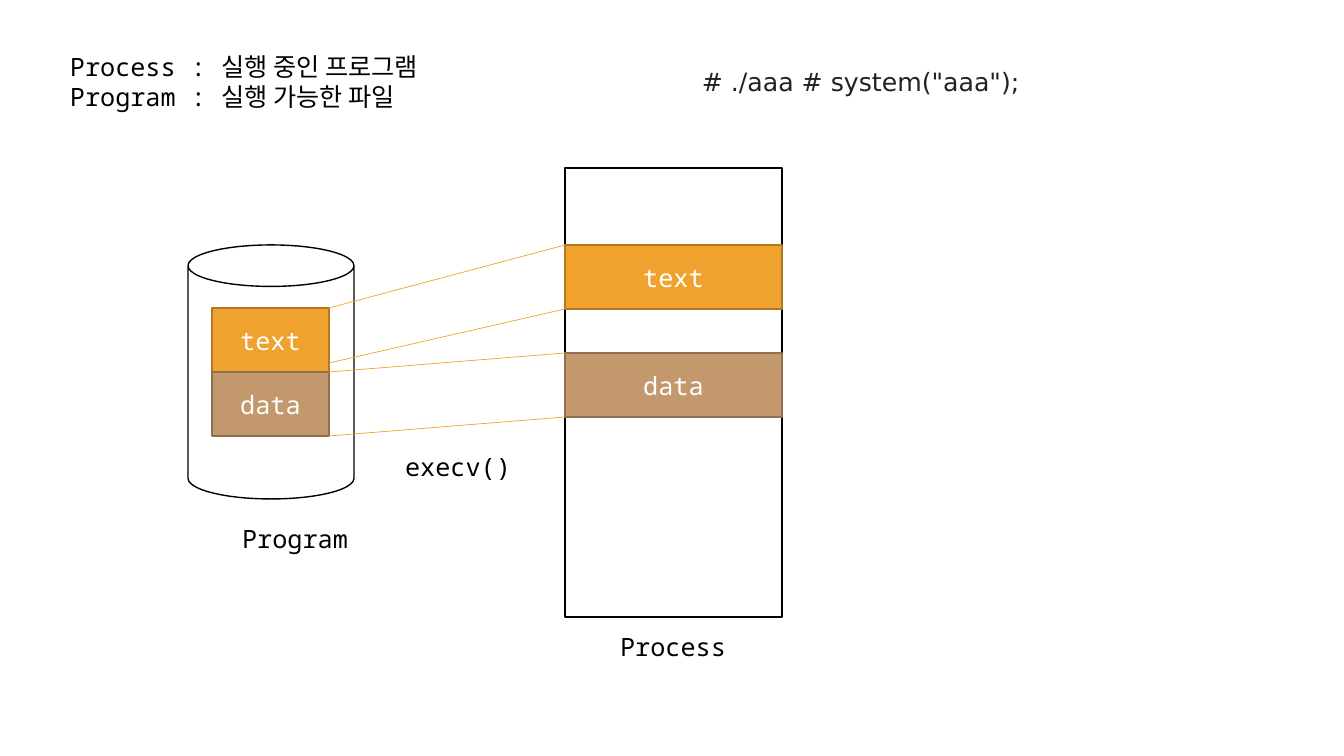
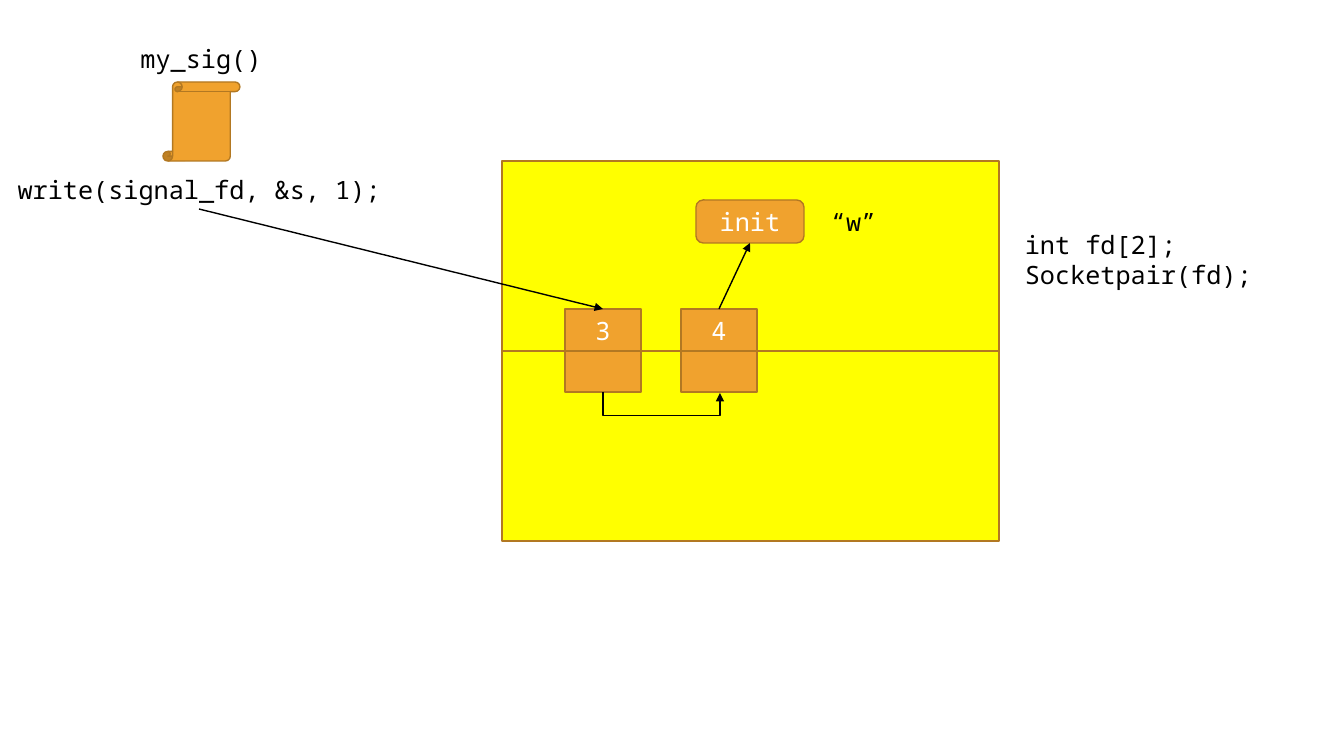
from lxml.etree import SubElement
from pptx import Presentation
from pptx.dml.color import RGBColor
from pptx.enum.shapes import MSO_CONNECTOR, MSO_SHAPE
from pptx.enum.text import MSO_ANCHOR, MSO_AUTO_SIZE, PP_ALIGN
from pptx.oxml.ns import qn
from pptx.util import Pt

PX = 9071  # EMU in one px
FONT = "Noto Sans Mono"
COLORS = {
    "black": "000000",
    "white": "FFFFFF",
    "gray": "222222",
    "yellow": "FFFF00",
    "orange": "F0A22E",
    "orange_edge": "B27822",
    "tan": "C3986D",
    "tan_edge": "907051",
}
COLORS = {name: RGBColor.from_string(value) for name, value in COLORS.items()}


def add_box(slide, kind, bounds, fill="orange", edge="orange_edge", text=""):
    shape = slide.shapes.add_shape(kind, *[value * PX for value in bounds])
    shape.shadow.inherit = False
    shape.fill.solid()
    shape.fill.fore_color.rgb = COLORS[fill]
    shape.line.color.rgb = COLORS[edge]
    shape.line.width = Pt(1)
    if text:
        shape.text_frame.text = text
        shape.text_frame.vertical_anchor = MSO_ANCHOR.MIDDLE
        paragraph = shape.text_frame.paragraphs[0]
        paragraph.alignment = PP_ALIGN.CENTER
        paragraph.font.name = FONT
        paragraph.font.size = Pt(18)
        paragraph.font.color.rgb = COLORS["white"]
    return shape


def add_label(slide, bounds, text, align=PP_ALIGN.CENTER, font=FONT,
              color="black", wrap=True):
    label = slide.shapes.add_textbox(*[value * PX for value in bounds])
    label.text_frame.text = text
    label.text_frame.word_wrap = wrap
    label.text_frame.auto_size = MSO_AUTO_SIZE.SHAPE_TO_FIT_TEXT
    for paragraph in label.text_frame.paragraphs:
        paragraph.alignment = align
        paragraph.font.name = font
        paragraph.font.size = Pt(18)
        paragraph.font.color.rgb = COLORS[color]
    return label


presentation = Presentation()
presentation.slide_width = 1344 * PX
presentation.slide_height = 756 * PX
blank_layout = presentation.slide_layouts[6]

# Slide 1: a program file is loaded into a process
slide = presentation.slides.add_slide(blank_layout)
add_label(slide, (60, 46, 408, 72),
          "Process : 실행 중인 프로그램\nProgram : 실행 가능한 파일", PP_ALIGN.LEFT)
add_label(slide, (692, 61, 350, 40), '# ./aaa # system("aaa");',
          PP_ALIGN.LEFT, "DejaVu Sans", "gray", wrap=False)

# Program file and process memory
add_box(slide, MSO_SHAPE.CAN, (188, 245, 166, 254), "white", "black")
add_box(slide, MSO_SHAPE.RECTANGLE, (565, 168, 217, 449), "white", "black")

# Sections, the same in the file and in memory
for name, fill, file_top, memory_top in (("text", "orange", 308, 245),
                                         ("data", "tan", 372, 353)):
    for left, top, width in ((565, memory_top, 217), (212, file_top, 117)):
        add_box(slide, MSO_SHAPE.RECTANGLE, (left, top, width, 64),
                fill, fill + "_edge", name)

# Mapping lines from file to memory
mapping_lines = [
    slide.shapes.add_connector(MSO_CONNECTOR.STRAIGHT, 329 * PX, file_y * PX,
                               565 * PX, memory_y * PX)
    for file_y, memory_y in ((308, 245), (363, 309), (372, 353), (436, 417))
]

for left, top, text in ((212, 518, "Program"), (590, 626, "Process"),
                        (375, 446, "execv()")):
    add_label(slide, (left, top, 166, 40), text)

# Slide 2: a signal handler wakes init through a socket pair
slide = presentation.slides.add_slide(blank_layout)
for top in (161, 351):
    add_box(slide, MSO_SHAPE.RECTANGLE, (502, top, 497, 190), "yellow")
init_box = add_box(slide, MSO_SHAPE.ROUNDED_RECTANGLE, (696, 200, 108, 43),
                   text="init")

# Descriptors, each with a half on either side of the boundary
descriptors = []
for left, number in ((565, "3"), (681, "4")):
    descriptors.append(add_box(slide, MSO_SHAPE.RECTANGLE, (left, 309, 76, 42),
                               text=number))
    add_box(slide, MSO_SHAPE.RECTANGLE, (left, 351, 76, 41))

# Signal handler and code
add_box(slide, MSO_SHAPE.VERTICAL_SCROLL, (163, 82, 77, 79))
add_label(slide, (121, 38, 160, 40), "my_sig()")
write_label = add_label(slide, (5, 169, 388, 40), "write(signal_fd, &s, 1);")
add_label(slide, (1015, 224, 269, 72), "int fd[2];\nSocketpair(fd);",
          PP_ALIGN.LEFT)
add_label(slide, (821, 201, 75, 40), "“w”", PP_ALIGN.LEFT)

# Straight arrows from bottom or top sides
arrows = []
for source, source_side, target, target_side in (
        (descriptors[1], 0, init_box, 2), (write_label, 2, descriptors[0], 0)):
    arrow = slide.shapes.add_connector(MSO_CONNECTOR.STRAIGHT, 0, 0, 0, 0)
    arrow.begin_connect(source, source_side)
    arrow.end_connect(target, target_side)
    arrows.append(arrow)

# Elbow arrow under the descriptors: a turned frame 1 px wide, bent 24 px out
elbow = slide.shapes.add_connector(MSO_CONNECTOR.ELBOW, 661 * PX, 334 * PX,
                                   662 * PX, 451 * PX)
frame = elbow._element.spPr.find(qn("a:xfrm"))
frame.set("rot", str(270 * 60000))
frame.set("flipH", "1")
adjustments = elbow._element.spPr.find(qn("a:prstGeom")).get_or_add_avLst()
SubElement(adjustments, qn("a:gd"), name="adj1", fmla=f"val {24 * 100000}")
arrows.append(elbow)

# Line styles
for connectors, color, width in ((mapping_lines, "orange", 0.5),
                                 (arrows, "black", 1)):
    for connector in connectors:
        connector.line.color.rgb = COLORS[color]
        connector.line.width = Pt(width)
        if connectors is arrows:
            SubElement(connector.line._get_or_add_ln(), qn("a:tailEnd"),
                       type="triangle")
        SubElement(connector._element.spPr, qn("a:effectLst"))

presentation.save("out.pptx")
